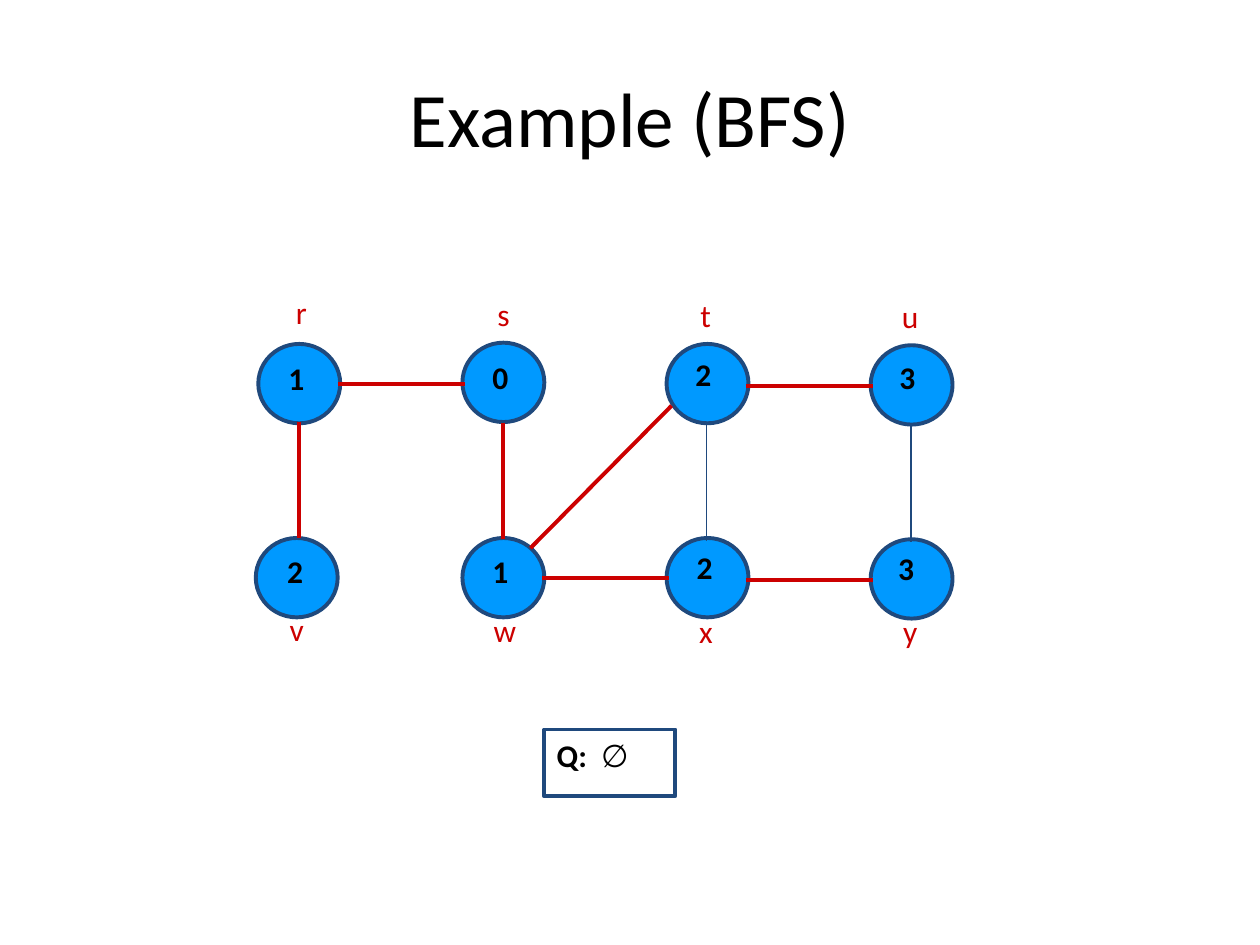
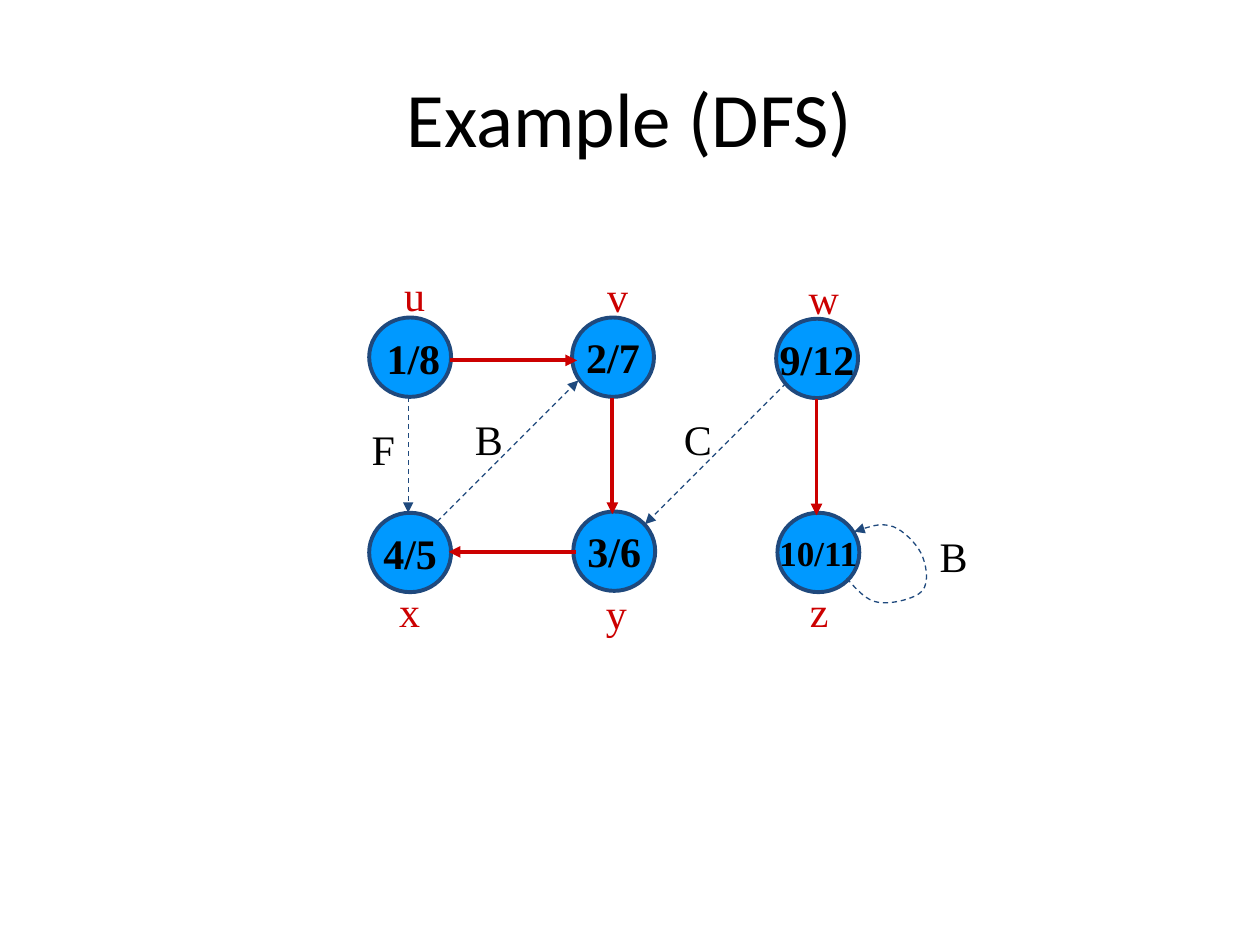
"""Build two slides that show a finished breadth-first and depth-first search."""
from dataclasses import dataclass

from lxml.etree import SubElement
from pptx import Presentation
from pptx.dml.color import RGBColor
from pptx.enum.dml import MSO_LINE
from pptx.enum.shapes import MSO_CONNECTOR, MSO_SHAPE
from pptx.enum.text import MSO_ANCHOR, MSO_AUTO_SIZE, PP_ALIGN
from pptx.oxml.ns import qn
from pptx.util import Emu, Pt

PX = 9144
COLORS = {"text": "000000", "node": "0099FF", "outline": "1F497D", "accent": "CC0000"}
SANS, SERIF = "Calibri", "Times New Roman"
NODE_W, NODE_H, COL_PITCH = 65, 63, 162
THICK, THIN = 2.25, 0.75


@dataclass(frozen=True)
class Grid:
    """Place of the first column and of the two rows of nodes."""
    left: int
    rows: tuple[int, int]


@dataclass(frozen=True)
class Node:
    """Circle at a grid cell, with small offsets and text inside."""
    col: int
    row: int
    text: str = ""
    dx: int = 0
    dy: int = 0
    size: int = 24


@dataclass(frozen=True)
class Label:
    """Free text beside or on a node."""
    text: str
    x: int
    y: int
    w: int = 37


@dataclass(frozen=True)
class Edge:
    """Straight edge; tree edges are thick and in the accent colour."""
    x1: int
    y1: int
    x2: int
    y2: int
    tree: bool = True
    width: float = THIN


BFS_GRID = Grid(205, (273, 427))
BFS_NODES = [
    Node(0, 0), Node(1, 0, dy=-1), Node(2, 0), Node(3, 0, dy=1),
    Node(0, 1, dx=-2), Node(1, 1), Node(2, 1), Node(3, 1, dy=1),
]
BFS_EDGES = [
    Edge(268, 305, 369, 305), Edge(430, 459, 531, 459),
    Edge(592, 460, 693, 460), Edge(592, 306, 693, 306),
    Edge(237, 335, 237, 427), Edge(399, 336, 399, 428),
    Edge(561, 337, 561, 429, tree=False),
    Edge(723, 338, 723, 430, tree=False, width=1),
    Edge(421, 435, 533, 322),
]
BFS_DISTANCES = [
    Label("1", 219, 280), Label("0", 381, 279), Label("2", 542, 277), Label("3", 704, 279),
    Label("2", 218, 433), Label("1", 381, 433), Label("2", 543, 430), Label("3", 703, 431),
]
BFS_NAMES = [
    Label("r", 225, 228, 31), Label("s", 385, 229, 33), Label("t", 546, 230, 29),
    Label("u", 706, 231), Label("v", 220, 479), Label("w", 382, 480, 44),
    Label("x", 545, 481), Label("y", 707, 481),
]

DFS_GRID = Grid(293, (252, 407))
DFS_NODES = [
    Node(0, 0), Node(1, 0, "2/7", dx=-1), Node(2, 0, "9/12", dx=-1, dy=1),
    Node(0, 1, "4/5"), Node(1, 1, "3/6", dy=-1), Node(2, 1, "10/11", size=20),
]
DFS_EDGES = [
    Edge(457, 438, 356, 438), Edge(324, 315, 324, 407, tree=False),
    Edge(486, 316, 486, 408), Edge(648, 317, 648, 409),
    Edge(347, 414, 459, 302, tree=False), Edge(357, 286, 458, 286),
    Edge(624, 304, 512, 416, tree=False),
]
DFS_NAMES = [
    Label("u", 311, 209), Label("v", 472, 210), Label("w", 632, 211, 44),
    Label("x", 307, 460), Label("y", 471, 461), Label("z", 633, 460, 35),
]
DFS_EDGE_TYPES = [
    Label("B", 367, 323, 42), Label("F", 285, 331, 39),
    Label("C", 533, 323, 42), Label("B", 736, 416, 42),
]
LOOP_START = (672, 459)
LOOP_CURVE = [
    (680, 468), (688, 477), (697, 478), (707, 480), (727, 475), (732, 469),
    (738, 462), (735, 447), (731, 439), (727, 431), (717, 421), (709, 418),
    (700, 415), (689, 418), (678, 422),
]


def px(*values: int) -> list[Emu]:
    """Turn px lengths into EMU."""
    return [Emu(v * PX) for v in values]


def rgb(name: str) -> RGBColor:
    """Look up a colour by name."""
    return RGBColor.from_string(COLORS[name])


def add_run(p, text: str, *, size: int, font: str, color: str = "text", bold: bool = False) -> None:
    """Append one formatted run to a paragraph."""
    r = p.add_run()
    r.text = text
    r.font.size, r.font.name, r.font.bold = Pt(size), font, bold
    r.font.color.rgb = rgb(color)


def set_text(sp, text: str, *, align=PP_ALIGN.LEFT, anchor=MSO_ANCHOR.TOP,
             grow: bool = False, wrap: bool = False, **fmt):
    """Write formatted text into a shape and return its paragraph."""
    tf = sp.text_frame
    tf.word_wrap, tf.vertical_anchor = wrap, anchor
    tf.auto_size = MSO_AUTO_SIZE.SHAPE_TO_FIT_TEXT if grow else MSO_AUTO_SIZE.NONE
    p = tf.paragraphs[0]
    p.alignment = align
    add_run(p, text, **fmt)
    return p


def style_line(line, color: str, width: float, dashed: bool = False, arrow: bool = False) -> None:
    """Set colour, width, dash and arrowhead of a line."""
    line.color.rgb, line.width = rgb(color), Pt(width)
    if dashed:
        line.dash_style = MSO_LINE.DASH
    if arrow:
        SubElement(line._get_or_add_ln(), qn("a:tailEnd"), type="triangle")


def add_box(s, preset, x: int, y: int, w: int, h: int, fill: str | None = None):
    """Draw an outlined preset shape."""
    sp = s.shapes.add_shape(preset, *px(x, y, w, h))
    sp.shadow.inherit = False
    if fill:
        sp.fill.solid()
        sp.fill.fore_color.rgb = rgb(fill)
    else:
        sp.fill.background()
    style_line(sp.line, "outline", THICK)
    return sp


def add_nodes(s, grid: Grid, nodes: list[Node]) -> None:
    """Draw the circles of a graph."""
    for n in nodes:
        sp = add_box(s, MSO_SHAPE.OVAL, grid.left + n.col * COL_PITCH + n.dx,
                     grid.rows[n.row] + n.dy, NODE_W, NODE_H, "node")
        if n.text:
            set_text(sp, n.text, align=PP_ALIGN.CENTER, anchor=MSO_ANCHOR.MIDDLE,
                     size=n.size, font=SERIF, bold=True)


def add_edges(s, edges: list[Edge], directed: bool = False) -> None:
    """Draw the edges of a graph; directed non-tree edges are dashed."""
    for e in edges:
        c = s.shapes.add_connector(MSO_CONNECTOR.STRAIGHT, *px(e.x1, e.y1, e.x2, e.y2))
        style_line(c.line, "accent" if e.tree else "outline", THICK if e.tree else e.width,
                   dashed=directed and not e.tree, arrow=directed)
        SubElement(c._element.spPr, qn("a:effectLst"))


def add_labels(s, labels: list[Label], **fmt) -> None:
    """Draw text labels that share one format."""
    for label in labels:
        sp = s.shapes.add_textbox(*px(label.x, label.y, label.w, 50))
        set_text(sp, label.text, grow=True, **fmt)


def add_self_loop(s) -> None:
    """Draw the dashed curve from a node back to itself."""
    builder = s.shapes.build_freeform(*LOOP_START, scale=PX)
    builder.add_line_segments(LOOP_CURVE, close=False)
    sp = builder.convert_to_shape()
    sp.shadow.inherit = False
    sp.fill.background()
    style_line(sp.line, "outline", THIN, dashed=True, arrow=True)
    segments = list(sp._element.iter(qn("a:lnTo")))
    path = segments[0].getparent()
    for i in range(0, len(segments), 3):
        curve = SubElement(path, qn("a:cubicBezTo"))
        for segment in segments[i:i + 3]:
            curve.append(segment[0])
            path.remove(segment)


def add_titled_slide(prs, title: str):
    """Add a blank slide with the shared title style."""
    s = prs.slides.add_slide(prs.slide_layouts[6])
    set_text(s.shapes.add_textbox(*px(50, 30, 900, 125)), title, align=PP_ALIGN.CENTER,
             anchor=MSO_ANCHOR.MIDDLE, wrap=True, size=44, font=SANS)
    return s


def build_bfs(prs) -> None:
    """Build the breadth-first search slide."""
    s = add_titled_slide(prs, "Example (BFS)")
    add_nodes(s, BFS_GRID, BFS_NODES)
    add_edges(s, BFS_EDGES)
    add_labels(s, BFS_DISTANCES, size=18, font=SANS, bold=True)
    add_labels(s, BFS_NAMES, size=18, font=SANS, color="accent")
    queue = add_box(s, MSO_SHAPE.RECTANGLE, 432, 579, 104, 53)
    p = set_text(queue, "Q:  ", grow=True, size=18, font=SANS, bold=True)
    add_run(p, "∅", size=18, font=SANS)


def build_dfs(prs) -> None:
    """Build the depth-first search slide."""
    s = add_titled_slide(prs, "Example (DFS)")
    add_nodes(s, DFS_GRID, DFS_NODES)
    add_edges(s, DFS_EDGES, directed=True)
    add_self_loop(s)
    add_labels(s, [Label("1/8", 297, 259, 63)], size=24, font=SERIF, bold=True)
    add_labels(s, DFS_NAMES, size=24, font=SERIF, color="accent")
    add_labels(s, DFS_EDGE_TYPES, size=24, font=SERIF)


def main() -> None:
    """Build and save the presentation."""
    prs = Presentation()
    prs.slide_width, prs.slide_height = px(1000, 750)
    build_bfs(prs)
    build_dfs(prs)
    prs.save("out.pptx")


if __name__ == "__main__":
    main()
